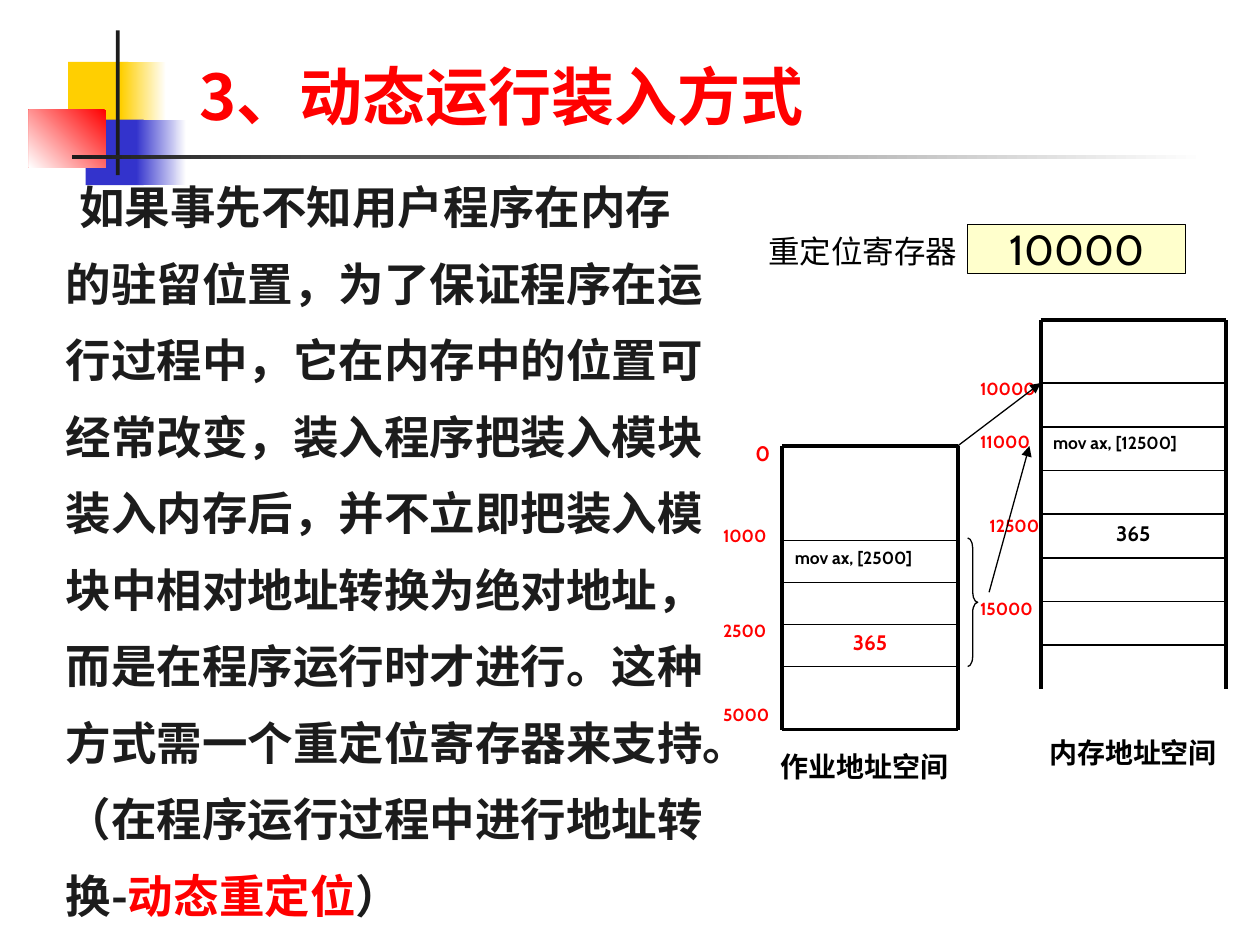
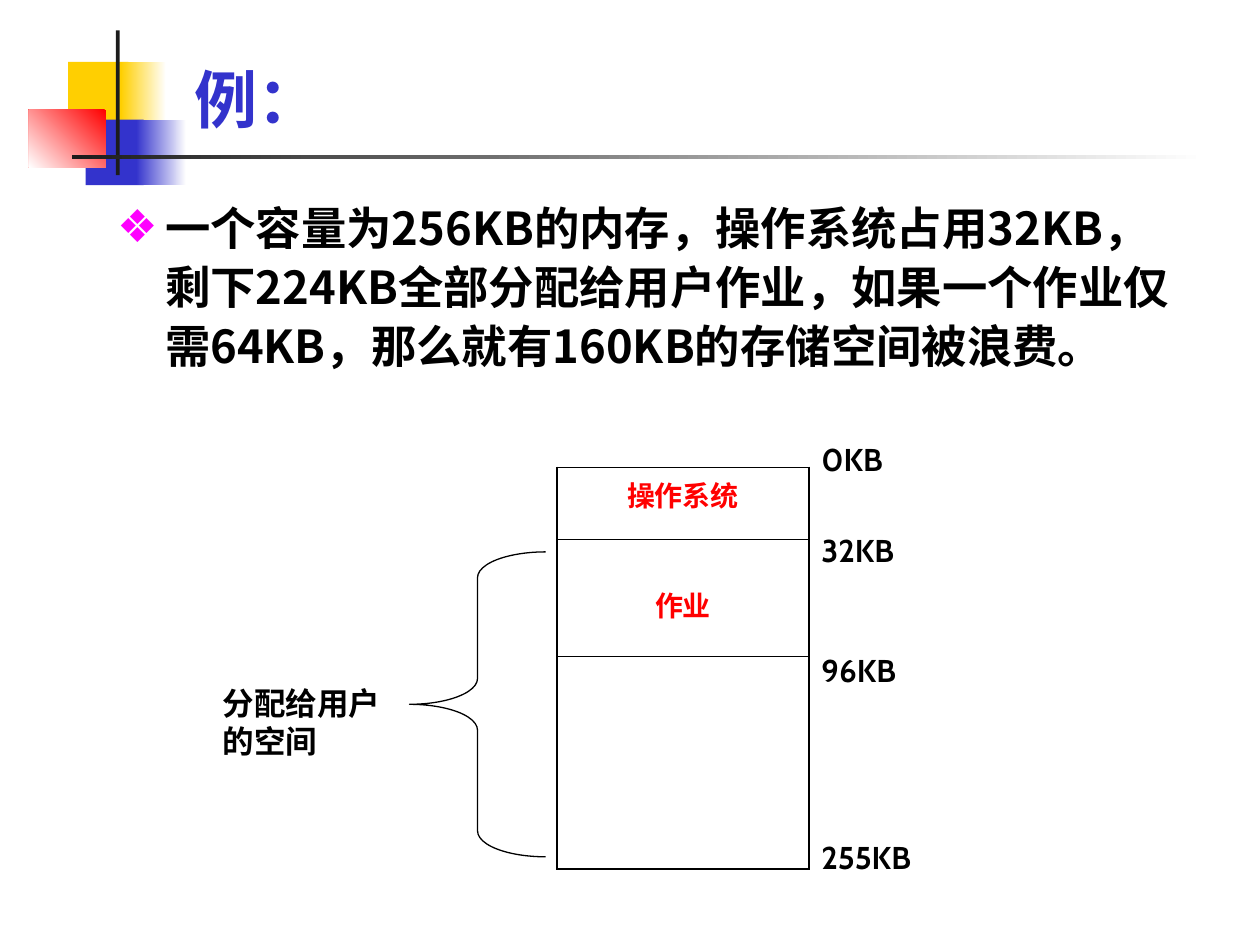
import pptx
import pptx.util
import pptx.dml.color
import pptx.enum.shapes
import pptx.enum.text
import pptx.oxml
import pptx.oxml.ns
from lxml import etree

Inches = pptx.util.Inches
Pt = pptx.util.Pt
SHAPES = pptx.enum.shapes.MSO_SHAPE
ALIGN = pptx.enum.text.PP_ALIGN
ANCHOR = pptx.enum.text.MSO_ANCHOR
qn = pptx.oxml.ns.qn

CJK, LATIN = "Noto Sans CJK SC", "Cabin"
BLACK, INK, RED, BLUE = "000000", "1C1C1C", "FF0000", "3333CC"
YELLOW, WHITE, MAGENTA, CREAM = "FFCF01", "FFFFFF", "FF00FF", "FFFFCC"

MASTER_BLOCKS = [
    ((0.54, 0.49, 0.48, 0.52), YELLOW, None, 0),
    ((0.96, 0.49, 0.36, 0.52), WHITE, YELLOW, 180),
    ((0.68, 0.95, 0.46, 0.52), BLUE, None, 0),
    ((1.08, 0.95, 0.4, 0.52), WHITE, BLUE, 180),
    ((0.23, 0.87, 0.61, 0.46), RED, WHITE, 225),
    ((0.92, 0.24, 0.03, 1.15), INK, None, 0),
    ((0.57, 1.23, 9, 0.03), WHITE, INK, 180),
]

LOADING_TITLE = "3、动态运行装入方式"
LOADING_BODY = [
    ("如果事先不知用户程序在内存的驻留位置，为了保证程序在运行过程中，它在内存中的位置可经常改变，"
     "装入程序把装入模块装入内存后，并不立即把装入模块中相对地址转换为绝对地址，而是在程序运行时才进行。"
     "这种方式需一个重定位寄存器来支持。（在程序运行过程中进行地址转换-", INK),
    ("动态重定位", RED),
    ("）", INK),
]
JOB = {"left": 6.21, "right": 7.6, "top": 3.54, "bottom": 5.79,
       "first": 4.29, "step": 1 / 3, "dividers": 4, "closed": True}
MEMORY = {"left": 8.26, "right": 9.73, "top": 2.54, "bottom": 5.47,
          "first": 3.04, "step": 0.347, "dividers": 7, "closed": False}
DIAGRAM_TEXTS = [
    ("重定位寄存器", (6, 1.79, 1.7, 0.4), {"size": 18, "bold": False, "wrap": False}),
    ("365", (6.21, 4.95, 1.39, 0.33), {"size": 12, "color": RED, "align": ALIGN.CENTER}),
    ("mov ax, [2500]", (6.21, 4.29, 1.39, 0.33), {"size": 10}),
    ("365", (8.26, 4.08, 1.47, 0.35), {"size": 12, "align": ALIGN.CENTER}),
    ("mov ax, [12500]", (8.26, 3.38, 1.47, 0.35), {"size": 10}),
    ("0", (5.64, 3.45, 0.57, 0.67), {"size": 12, "color": RED, "align": ALIGN.RIGHT}),
    ("12500", (7.68, 4.04, 0.74, 0.67), {"size": 10, "color": RED, "align": ALIGN.CENTER}),
    ("作业地址空间", (6.1, 5.9, 1.57, 0.37), {"size": 16}),
    ("内存地址空间", (8.23, 5.79, 1.64, 0.37), {"size": 16}),
]
ADDRESSES = [("1000", 5.64, 4.12), ("2500", 5.64, 4.87), ("5000", 5.64, 5.54),
             ("10000", 7.68, 2.95), ("11000", 7.68, 3.37), ("15000", 7.68, 4.7)]
ARROWS = [((7.6, 3.54), (8.26, 3.04)), ((7.85, 4.7), (8.17, 3.54))]

EXAMPLE_TITLE = "例："
EXAMPLE_BODY = ("一个容量为256KB的内存，操作系统占用32KB，剩下224KB全部分配给用户作业，"
                "如果一个作业仅需64KB，那么就有160KB的存储空间被浪费。")
PARTITIONS = [("操作系统", 0.57, 0.05), ("作业", 0.93, 0.36), ("", 1.69, 0.05)]
BOUNDARIES = [("0KB", 0), ("32KB", 30.7), ("96KB", 47), ("255KB", 85.4)]


def rgb(color):
    return pptx.dml.color.RGBColor.from_string(color)


def inches(values):
    return [Inches(value) for value in values]


def write(paragraph, text, size=18, color=BLACK, bold=True, font=LATIN, align=ALIGN.LEFT,
          spacing=None, before=0, indent=None, bullet=None):
    paragraph.alignment = align
    paragraph.space_before = Pt(before)
    if spacing:
        paragraph.line_spacing = Pt(spacing)
    runs = [(text, color)] if isinstance(text, str) else text
    for run_text, run_color in runs:
        run = paragraph.add_run()
        run.text = run_text
        run.font.size = Pt(size)
        run.font.bold = bold
        run.font.name = font
        run.font.color.rgb = rgb(run_color)
        etree.SubElement(run.font._element, qn("a:ea"), typeface=CJK)
    if indent:
        properties = paragraph._p.get_or_add_pPr()
        properties.set("marL", str(Inches(indent[0])))
        properties.set("indent", str(Inches(indent[1])))
        if bullet:
            bullet_color = etree.SubElement(properties, qn("a:buClr"))
            etree.SubElement(bullet_color, qn("a:srgbClr"), val=MAGENTA)
            etree.SubElement(properties, qn("a:buChar"), char=bullet)
        else:
            etree.SubElement(properties, qn("a:buNone"))


def add_text(slide, text, place, wrap=True, **text_format):
    frame = slide.shapes.add_textbox(*inches(place)).text_frame
    frame.word_wrap = wrap
    write(frame.paragraphs[0], text, **text_format)
    return frame


def fill_placeholder(placeholder, text, place, anchor, **text_format):
    placeholder.left, placeholder.top, placeholder.width, placeholder.height = inches(place)
    frame = placeholder.text_frame
    frame.auto_size = pptx.enum.text.MSO_AUTO_SIZE.NONE
    frame.vertical_anchor = anchor
    write(frame.paragraphs[0], text, **text_format)


def add_shape(slide, kind, place, fill=None, line=None):
    shape = slide.shapes.add_shape(kind, *inches(place))
    shape.shadow.inherit = False
    if fill:
        shape.fill.solid()
        shape.fill.fore_color.rgb = rgb(fill)
    else:
        shape.fill.background()
    if line:
        shape.line.color.rgb = rgb(line)
        shape.line.width = Pt(0.75)
    else:
        shape.line.fill.background()
    return shape


def add_line(slide, start, end, width, arrow=False):
    line = slide.shapes.add_connector(
        pptx.enum.shapes.MSO_CONNECTOR.STRAIGHT, *inches(start + end))
    line.line.color.rgb = rgb(BLACK)
    line.line.width = Pt(width)
    if arrow:
        etree.SubElement(line.line._get_or_add_ln(), qn("a:tailEnd"), type="triangle")
    etree.SubElement(line.element.spPr, qn("a:effectLst"))


def decorate_master(presentation, slide):
    tree = presentation.slide_master.shapes.element
    for position, (place, first, last, angle) in enumerate(MASTER_BLOCKS):
        block = add_shape(slide, SHAPES.RECTANGLE, place, first)
        if last:
            block.fill.gradient()
            block.fill.gradient_angle = angle
            for stop, color in zip(block.fill.gradient_stops, (first, last)):
                stop.color.rgb = rgb(color)
        tree.insert(2 + position, block.element)


def add_address_space(slide, space):
    left, right, top, bottom = (space[key] for key in ("left", "right", "top", "bottom"))
    for y in [top, bottom] if space["closed"] else [top]:
        add_line(slide, (left, y), (right, y), 2.25)
    for x in (left, right):
        add_line(slide, (x, top), (x, bottom), 2.25)
    for index in range(space["dividers"]):
        y = space["first"] + index * space["step"]
        add_line(slide, (left, y), (right, y), 1)


def add_brace(slide, kind, place, curve):
    brace = add_shape(slide, kind, place, line=BLACK)
    brace.adjustments[0] = curve


def build_loading_slide(slide):
    fill_placeholder(slide.shapes.title, LOADING_TITLE, (1.48, 0.28, 8.52, 0.83), ANCHOR.BOTTOM,
                     size=36, color=RED, font=CJK)
    fill_placeholder(slide.placeholders[1], LOADING_BODY, (0.04, 1.2, 5.75, 6.3), ANCHOR.TOP,
                     size=26, font=CJK, spacing=43.7, indent=(0.38, 0.11))
    register = add_shape(slide, SHAPES.RECTANGLE, (7.68, 1.78, 1.73, 0.39), CREAM, BLACK)
    register.text_frame.vertical_anchor = ANCHOR.MIDDLE
    register.text_frame.word_wrap = False
    write(register.text_frame.paragraphs[0], "10000", size=24, bold=False, align=ALIGN.CENTER)
    for space in (JOB, MEMORY):
        add_address_space(slide, space)
    for text, place, text_format in DIAGRAM_TEXTS:
        add_text(slide, text, place, **text_format)
    for address, left, top in ADDRESSES:
        add_text(slide, address, (left, top, 0.74, 0.42), size=10, color=RED)
    for start, end in ARROWS:
        add_line(slide, start, end, 0.75, arrow=True)
    add_brace(slide, SHAPES.RIGHT_BRACE, (7.68, 4.27, 0.08, 1.02), 1)


def add_partition_table(slide):
    height = sum(row[1] for row in PARTITIONS)
    table = slide.shapes.add_table(
        len(PARTITIONS), 1, *inches((4.42, 3.71, 2, height))).table
    table.first_row = table.horz_banding = False
    last = len(PARTITIONS) - 1
    for index, (name, row_height, margin) in enumerate(PARTITIONS):
        table.rows[index].height = Inches(row_height)
        cell = table.cell(index, 0)
        cell.margin_top = Inches(margin)
        if name:
            write(cell.text_frame.paragraphs[0], name, size=16, color=RED, align=ALIGN.CENTER)
        widths = {"L": 1.08, "R": 1.08, "T": 0.45 if index else 1.08,
                  "B": 1.08 if index == last else 0.45}
        properties = cell._tc.get_or_add_tcPr()
        for side, width in widths.items():
            border = etree.SubElement(properties, qn("a:ln" + side), w=str(Pt(width)))
            border_fill = etree.SubElement(border, qn("a:solidFill"))
            etree.SubElement(border_fill, qn("a:srgbClr"), val=BLACK)
        cell.fill.background()


def build_example_slide(slide):
    fill_placeholder(slide.shapes.title, EXAMPLE_TITLE, (1.44, 0.28, 6.4, 0.85), ANCHOR.BOTTOM,
                     size=36, color=BLUE)
    fill_placeholder(slide.placeholders[1], EXAMPLE_BODY, (0.83, 1.5, 8.74, 1.89), ANCHOR.TOP,
                     size=25.9, font=CJK, spacing=33.7, indent=(0.38, -0.38), bullet="❖")
    add_partition_table(slide)
    (first, _), *others = BOUNDARIES
    frame = add_text(slide, first, (6.42, 3.44, 1.17, 3.52))
    for boundary, gap in others:
        write(frame.add_paragraph(), boundary, before=gap)
    add_brace(slide, SHAPES.LEFT_BRACE, (3.25, 4.38, 1.08, 2.42), 0.19)
    add_text(slide, "分配给用户的空间", (1.67, 5.38, 1.58, 0.7), spacing=21.7)


def main():
    presentation = pptx.Presentation()
    presentation.slide_width, presentation.slide_height = inches((10, 7.5))
    layout = presentation.slide_layouts[1]
    loading, example = [presentation.slides.add_slide(layout) for _ in range(2)]
    decorate_master(presentation, loading)
    build_loading_slide(loading)
    build_example_slide(example)
    presentation.save("out.pptx")


if __name__ == "__main__":
    main()
